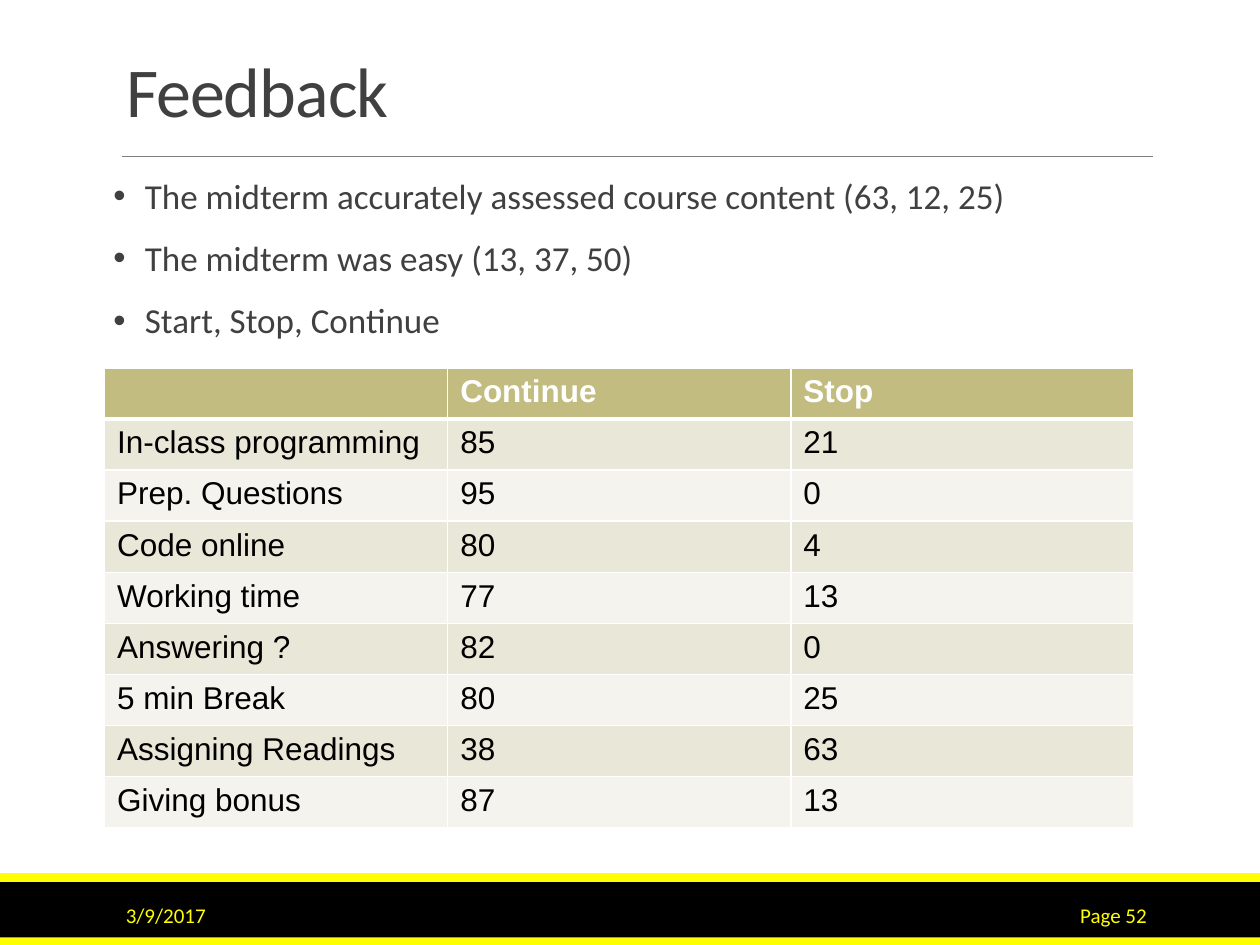
from dataclasses import dataclass

from lxml import etree
from pptx import Presentation
from pptx import util as u
from pptx.dml.color import RGBColor
from pptx.enum import shapes, text
from pptx.oxml import ns


@dataclass(frozen=True)
class Theme:
    heading_font: str = "Calibri"
    table_font: str = "Arial"
    ink: str = "404040"
    rule: str = "808080"
    black: str = "000000"
    white: str = "FFFFFF"
    accent: str = "FFFF00"
    header_fill: str = "C2BC80"
    band_fills: tuple = ("E9E7D8", "F4F3ED")
    title_size: int = 40
    body_size: int = 20
    table_size: int = 18
    footer_size: int = 12


BULLETS = [
    "The midterm accurately assessed course content (63, 12, 25)",
    "The midterm was easy (13, 37, 50)",
    "Start, Stop, Continue",
]
FEEDBACK = [
    ("", "Continue", "Stop"),
    ("In-class programming", 85, 21),
    ("Prep. Questions", 95, 0),
    ("Code online", 80, 4),
    ("Working time", 77, 13),
    ("Answering ?", 82, 0),
    ("5 min Break", 80, 25),
    ("Assigning Readings", 38, 63),
    ("Giving bonus", 87, 13),
]


def apply(target, **values):
    for name, value in values.items():
        setattr(target, name, value)


def add_element(parent, tag, **attributes):
    return etree.SubElement(parent, ns.qn(tag), attributes)


class SlideBuilder:
    def __init__(self, slide, theme):
        self.slide = slide
        self.theme = theme

    def place(self, shape, left, top, width, height):
        apply(shape, left=u.Inches(left), top=u.Inches(top),
              width=u.Inches(width), height=u.Inches(height))

    def add_text(self, paragraph, content, size, color, font=None, bold=False):
        run = paragraph.add_run()
        run.text = content
        apply(run.font, name=font or self.theme.heading_font,
              size=u.Pt(size), bold=bold)
        run.font.color.rgb = RGBColor.from_string(color)
        return run

    def band(self, top, height, color):
        """Add a bar across the full slide width."""
        shape = self.slide.shapes.add_shape(
            shapes.MSO_SHAPE.RECTANGLE, 0, u.Inches(top),
            u.Inches(10), u.Inches(height))
        shape.shadow.inherit = False
        shape.fill.solid()
        shape.fill.fore_color.rgb = RGBColor.from_string(color)
        shape.line.fill.background()

    def rule(self, left, right, y):
        line = self.slide.shapes.add_connector(
            shapes.MSO_CONNECTOR.STRAIGHT, u.Inches(left), u.Inches(y),
            u.Inches(right), u.Inches(y))
        line.line.color.rgb = RGBColor.from_string(self.theme.rule)
        line.line.width = u.Pt(0.5)
        add_element(line._element.spPr, "a:effectLst")

    def title(self, content, *box):
        title = self.slide.shapes.title
        self.place(title, *box)
        apply(title.text_frame, vertical_anchor=text.MSO_ANCHOR.BOTTOM,
              word_wrap=True, auto_size=text.MSO_AUTO_SIZE.NONE)
        paragraph = title.text_frame.paragraphs[0]
        apply(paragraph, alignment=text.PP_ALIGN.LEFT, line_spacing=0.85)
        run = self.add_text(paragraph, content, self.theme.title_size, self.theme.ink)
        run.font._element.set("spc", "-50")

    def text_box(self, *box, **frame_format):
        shape = self.slide.shapes.add_textbox(*map(u.Inches, box))
        apply(shape.text_frame, word_wrap=True, **frame_format)
        return shape.text_frame

    def bullets(self, items, *box):
        frame = self.text_box(*box, margin_left=0, margin_right=0)
        indent = u.Inches(0.25)
        for index, item in enumerate(items):
            paragraph = frame.add_paragraph() if index else frame.paragraphs[0]
            apply(paragraph, line_spacing=0.9, space_before=u.Pt(12),
                  space_after=u.Pt(2))
            properties = paragraph._p.get_or_add_pPr()
            properties.set("marL", str(indent))
            properties.set("indent", str(-indent))
            add_element(properties, "a:buFont", typeface=self.theme.table_font)
            add_element(properties, "a:buChar", char="•")
            self.add_text(paragraph, item, self.theme.body_size, self.theme.ink)

    def footer(self, content, alignment, *box):
        frame = self.text_box(*box, vertical_anchor=text.MSO_ANCHOR.MIDDLE)
        paragraph = frame.paragraphs[0]
        paragraph.alignment = alignment
        self.add_text(paragraph, content, self.theme.footer_size, self.theme.accent)

    def borders(self, cell, top, bottom):
        """Draw white cell borders; must run before the cell gets its fill."""
        properties = cell._tc.get_or_add_tcPr()
        for side, width in (("L", 1), ("R", 1), ("T", top), ("B", bottom)):
            line = add_element(properties, f"a:ln{side}", w=str(u.Pt(width)))
            fill = add_element(line, "a:solidFill")
            add_element(fill, "a:srgbClr", val=self.theme.white)

    def table(self, rows, *box):
        theme = self.theme
        table = self.slide.shapes.add_table(
            len(rows), len(rows[0]), *map(u.Inches, box)).table
        for row_index, row in enumerate(rows):
            header = row_index == 0
            fill = theme.header_fill if header else theme.band_fills[(row_index - 1) % 2]
            for column_index, value in enumerate(row):
                cell = table.cell(row_index, column_index)
                self.borders(cell, top=3 if row_index == 1 else 1,
                             bottom=3 if header else 1)
                cell.fill.solid()
                cell.fill.fore_color.rgb = RGBColor.from_string(fill)
                if value != "":
                    self.add_text(cell.text_frame.paragraphs[0], str(value),
                                  theme.table_size,
                                  theme.white if header else theme.black,
                                  theme.table_font, header)


def main():
    presentation = Presentation()
    apply(presentation, slide_width=u.Inches(10), slide_height=u.Inches(7.5))
    slide = presentation.slides.add_slide(presentation.slide_layouts[5])
    theme = Theme()
    builder = SlideBuilder(slide, theme)

    builder.band(7, 0.5, theme.black)
    for top in (6.93, 7.44):
        builder.band(top, 0.07, theme.accent)
    builder.rule(0.97, 9.15, 1.24)
    builder.title("Feedback", 0.9, 0.31, 8.25, 0.79)
    builder.bullets(BULLETS, 0.9, 1.37, 8.25, 2.21)
    builder.footer("3/9/2017", text.PP_ALIGN.LEFT, 0.9, 7.06, 2.03, 0.4)
    builder.footer("Page 52", text.PP_ALIGN.RIGHT, 8.12, 7.06, 1.08, 0.4)
    builder.table(FEEDBACK, 0.83, 2.92, 8.17, 3.65)
    presentation.save("out.pptx")


if __name__ == "__main__":
    main()
